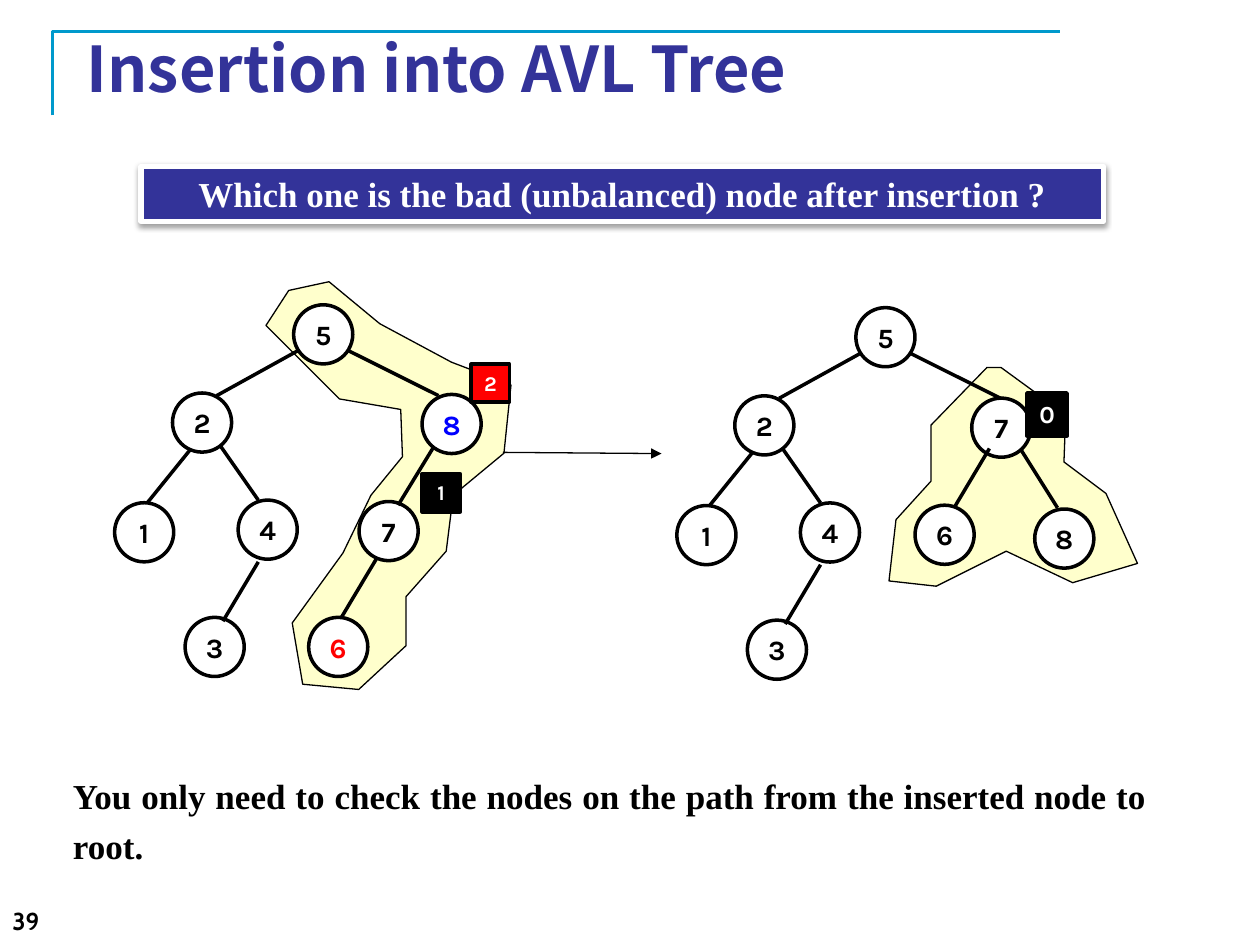
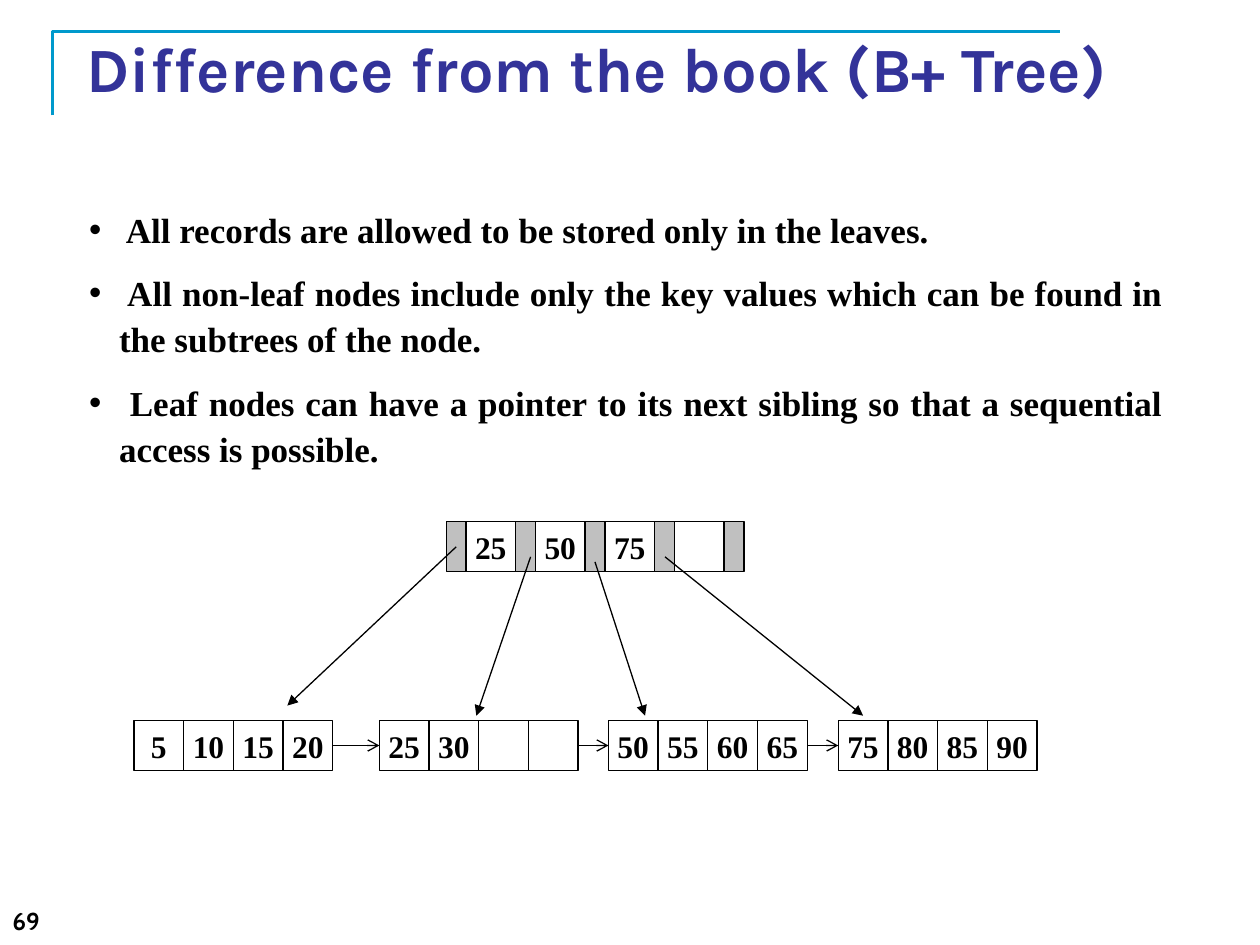
import pptx
import pptx.util
import pptx.dml.color
import pptx.enum.shapes
import pptx.enum.text
import pptx.oxml
import pptx.oxml.ns
from lxml import etree

Pt = pptx.util.Pt
RGBColor = pptx.dml.color.RGBColor
SHAPE = pptx.enum.shapes.MSO_SHAPE
ALIGN = pptx.enum.text.PP_ALIGN
ANCHOR = pptx.enum.text.MSO_ANCHOR
qn = pptx.oxml.ns.qn

INDIGO = RGBColor(0x33, 0x33, 0x99)
CYAN = RGBColor(0x00, 0x99, 0xCC)
CREAM = RGBColor(0xFF, 0xFF, 0xCC)
GREY = RGBColor(0xC0, 0xC0, 0xC0)
RED = RGBColor(0xFF, 0x00, 0x00)
BLUE = RGBColor(0x00, 0x00, 0xFF)
BLACK = RGBColor(0x00, 0x00, 0x00)
WHITE = RGBColor(0xFF, 0xFF, 0xFF)

SERIF, SANS, KARLA, CABIN = "Times New Roman", "Noto Sans CJK KR", "Karla", "Cabin"
NODE = 33.8    # diameter of a tree node
CELL = 28.4    # side of a B+ tree key cell


def write(tf, text, font=SERIF, size=20, color=BLACK, bold=True, align=ALIGN.CENTER,
          anchor=ANCHOR.TOP, wrap=True, spacing=None, before=0, bullet=False):
    """Fill a text frame; each line of the text becomes a paragraph."""
    tf.word_wrap = wrap
    tf.vertical_anchor = anchor
    for i, line in enumerate(text.split("\n")):
        p = tf.add_paragraph() if i else tf.paragraphs[0]
        p.alignment = align
        if spacing:
            p.line_spacing = spacing
        if i and before:
            p.space_before = Pt(before)
        if bullet:
            pPr = p._p.get_or_add_pPr()
            pPr.set("marL", str(Pt(17)))
            pPr.set("indent", str(-Pt(17)))
            etree.SubElement(pPr, qn("a:buFont")).set("typeface", "Arial")
            etree.SubElement(pPr, qn("a:buChar")).set("char", "•")
        r = p.add_run()
        r.text = line
        r.font.name, r.font.size, r.font.bold = font, Pt(size), bold
        r.font.color.rgb = color


class Deck:
    def __init__(self):
        self.prs = pptx.Presentation()
        self.prs.slide_width, self.prs.slide_height = Pt(720), Pt(540)
        self.s = None

    def slide(self, title, number, font):
        self.s = self.prs.slides.add_slide(self.prs.slide_layouts[6])
        self.outline([(30.2, 66.2), (30.2, 18), (606.2, 18)], None, CYAN, 1.5, close=False)
        self.text(42.5, 21.6, 612, 33.8, title, font=font, size=36, color=INDIGO,
                  align=ALIGN.JUSTIFY, anchor=ANCHOR.MIDDLE)
        self.text(0, 514, 225, 26, number, font=CABIN, size=14, align=ALIGN.LEFT)

    def text(self, x, y, w, h, text, **fmt):
        sp = self.s.shapes.add_textbox(Pt(x), Pt(y), Pt(w), Pt(h))
        write(sp.text_frame, text, **fmt)

    def paint(self, sp, fill, line, width):
        sp.shadow.inherit = False
        if fill is None:
            sp.fill.background()
        else:
            sp.fill.solid()
            sp.fill.fore_color.rgb = fill
        sp.line.color.rgb, sp.line.width = line, Pt(width)

    def shape(self, kind, x, y, w, h, fill=None, line=BLACK, width=0.75, text="", **fmt):
        sp = self.s.shapes.add_shape(kind, Pt(x), Pt(y), Pt(w), Pt(h))
        self.paint(sp, fill, line, width)
        if text:
            write(sp.text_frame, text, **fmt)
        return sp

    def outline(self, points, fill, line=BLACK, width=0.75, close=True):
        fb = self.s.shapes.build_freeform(*points[0], scale=Pt(1))
        fb.add_line_segments(points[1:], close=close)
        self.paint(fb.convert_to_shape(), fill, line, width)

    def line(self, x1, y1, x2, y2, width=0.75, head=None):
        cn = self.s.shapes.add_connector(pptx.enum.shapes.MSO_CONNECTOR.STRAIGHT,
                                         Pt(x1), Pt(y1), Pt(x2), Pt(y2))
        cn.line.color.rgb, cn.line.width = BLACK, Pt(width)
        if head:
            etree.SubElement(cn.line._get_or_add_ln(), qn("a:tailEnd")).set("type", head)
        etree.SubElement(cn._element.spPr, qn("a:effectLst"))
        return cn

    def link(self, a, b):
        """Arrow from the right side of a to the left side of b."""
        cn = self.line(0, 0, 0, 0, head="arrow")
        cn.begin_connect(a, 3)
        cn.end_connect(b, 1)

    def soft_shadow(self, sp):
        effects = sp._element.spPr.find(qn("a:effectLst"))
        sh = etree.SubElement(effects, qn("a:outerShdw"), blurRad=str(Pt(3.1)),
                              dist=str(Pt(1.6)), dir="5400000", rotWithShape="0")
        clr = etree.SubElement(sh, qn("a:srgbClr"), val="000000")
        etree.SubElement(clr, qn("a:alpha"), val="38000")

    def tree(self, dx, dy, nodes, edges, marked):
        """Draw nodes and edges; marked maps a key to its digit colour."""
        for key, x, y in nodes:
            self.shape(SHAPE.OVAL, x + dx, y + dy, NODE, NODE, WHITE, width=2, text=key,
                       font=KARLA, size=16, color=marked.get(key, BLACK),
                       anchor=ANCHOR.MIDDLE, wrap=False)
        for x1, y1, x2, y2 in edges:
            self.line(x1 + dx, y1 + dy, x2 + dx, y2 + dy, 2)

    def badge(self, x, y, w, h, value, fill, size=12):
        self.shape(SHAPE.RECTANGLE, x, y, w, h, fill, width=2, text=value, font=KARLA,
                   size=size, color=WHITE, wrap=False)

    def key_cell(self, x, y, key):
        return self.shape(SHAPE.RECTANGLE, x, y, CELL, CELL, text=key, size=18,
                          anchor=ANCHOR.MIDDLE, wrap=False)


def avl_slide(d):
    d.slide("Insertion into AVL Tree", "39", SANS)

    # Highlighted regions
    d.outline([(564, 210), (532, 243), (532, 275), (512, 297), (508, 332), (535, 335), (575, 315),
               (613, 333), (650, 322), (632, 282), (608, 264), (609, 237), (572, 210)], CREAM)
    d.outline([(152, 186), (194, 228), (229, 234), (230, 261), (212, 283), (196, 316), (167, 356),
               (173, 391), (205, 394), (232, 369), (232, 341), (255, 315), (259, 283), (288, 259),
               (292, 220), (258, 207), (217, 185), (188, 161), (165, 166)], CREAM)

    # Question and conclusion
    banner = d.shape(SHAPE.RECTANGLE, 80.6, 95, 550, 31.5, INDIGO, WHITE, 3, color=WHITE,
                     text="Which one is the bad (unbalanced) node after insertion ?")
    d.soft_shadow(banner)
    d.text(34.6, 434.2, 627.8, 65.5, "You only need to check the nodes on the path from the "
           "inserted node to root.", align=ALIGN.JUSTIFY, spacing=1.2)

    # Trees before and after rotation share everything but the right subtree
    nodes = [("5", 167.8, 174.2), ("2", 98.6, 224.6), ("1", 65.5, 287.3),
             ("4", 136.1, 285.8), ("3", 105.8, 352.8)]
    edges = [(108.7, 257, 84.2, 287.3), (126, 254.9, 147.6, 285.8), (170.6, 200.2, 123.8, 226.1),
             (198.7, 200.2, 250.6, 226.1), (147.6, 321.1, 127.4, 355)]
    d.tree(0, 0, nodes + [("8", 241.2, 225.4), ("7", 205.2, 286.6), ("6", 176.4, 352.8)],
           edges + [(247.7, 255.6, 227.5, 288.7), (215.3, 319, 195.1, 352.8)],
           {"6": RED, "8": BLUE})
    d.tree(321.3, 1.6, nodes + [("7", 234, 225.9), ("8", 270, 289.3), ("6", 201.6, 287.1)],
           edges + [(262.1, 255.4, 283, 288.6), (244.1, 254.7, 223.9, 288.6)], {})
    d.line(287.3, 258.5, 378, 259.2, head="triangle")

    # Balance factors
    d.badge(269.3, 208.1, 21.8, 21.8, "2", RED)
    d.badge(241.2, 270.7, 21.8, 21.8, "1", BLACK)
    d.badge(586.8, 224.6, 23, 24.5, "0", BLACK, size=14)


def bplus_slide(d):
    d.slide("Difference from the book (B+ Tree)", "69", KARLA)
    d.text(43.9, 113, 627.8, 163.4,
           " All records are allowed to be stored only in the leaves.\n"
           " All non-leaf nodes include only the key values which can be found in the subtrees "
           "of the node.\n"
           " Leaf nodes can have a pointer to its next sibling so that a sequential access is "
           "possible.", align=ALIGN.JUSTIFY, spacing=1.1, before=10, bullet=True)

    # Root: pointer slots alternate with keys
    left, top, slot = 255, 298.2, 11.3
    pitch = slot + CELL
    for i, key in enumerate(["25", "50", "75", ""]):
        d.key_cell(left + slot + i * pitch, top, key)
    for i in range(5):
        d.shape(SHAPE.RECTANGLE, left + i * pitch, top, slot, CELL, GREY)

    # Leaves, each linked to its next sibling
    leaves = [(76.6, ["5", "10", "15", "20"]), (216.8, ["25", "30", "", ""]),
              (347.7, ["50", "55", "60", "65"]), (479, ["75", "80", "85", "90"])]
    rows = [[d.key_cell(x + i * CELL, 411.8, key) for i, key in enumerate(keys)]
            for x, keys in leaves]
    for row, sibling in zip(rows, rows[1:]):
        d.link(row[-1], sibling[0])

    # Child pointers
    for x1, y1, x2, y2 in [(260.7, 312.5, 164.2, 403.2), (303.2, 318.2, 272.2, 409),
                           (340, 321.1, 368.6, 409), (380, 318.2, 493.2, 409)]:
        d.line(x1, y1, x2, y2, head="triangle")


def main():
    d = Deck()
    avl_slide(d)
    bplus_slide(d)
    d.prs.save("out.pptx")


if __name__ == "__main__":
    main()
